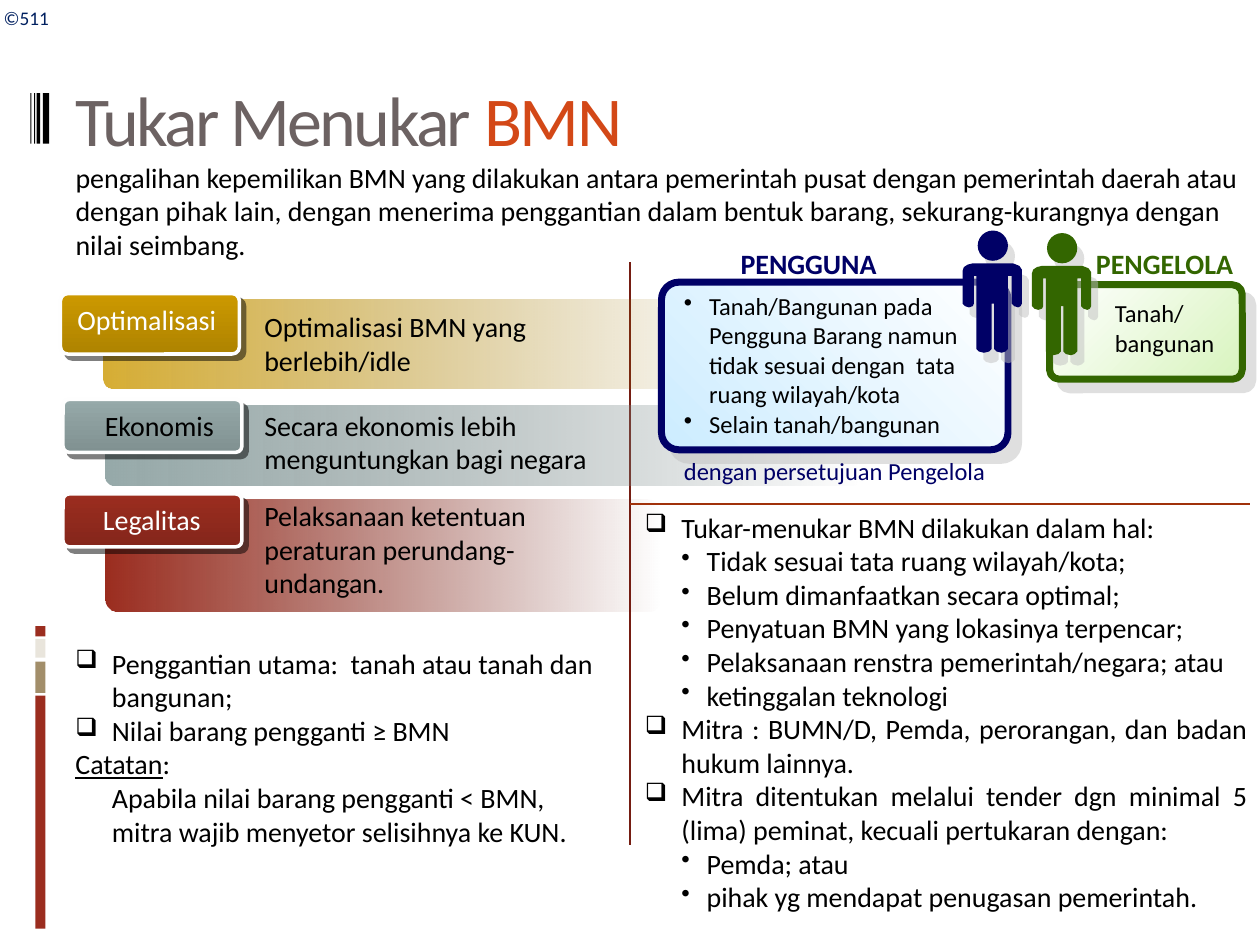
from collections import namedtuple

from lxml.etree import SubElement
from pptx import Presentation
from pptx.dml.color import RGBColor
from pptx.enum.shapes import MSO_CONNECTOR as LINE, MSO_SHAPE as SHAPE
from pptx.enum.text import MSO_ANCHOR as ANCHOR, MSO_AUTO_SIZE as FIT, PP_ALIGN as ALIGN
from pptx.oxml.ns import qn
from pptx.util import Inches, Pt

CELL = Inches(0.1)
BLACK, WHITE, NAVY, GREEN, RUST = "000000", "FEFFFF", "000066", "336600", "9B2D1F"
SQUARE, DOT = ("❑", 0.29, -0.29), ("•", 0.49, -0.2)
BODY_OUTLINE = [
    (8, 0), (4, 1), (1, 3), (0, 6), (0, 32), (2, 34), (5, 35), (8, 34), (9, 32), (9, 10), (11, 10),
    (11, 68), (13, 70), (17, 71), (21, 70), (23, 68), (23, 32), (25, 32), (25, 68), (27, 70),
    (31, 71), (34, 70), (36, 68), (36, 10), (39, 10), (39, 32), (41, 34), (44, 35), (46, 34),
    (47, 32), (47, 5), (45, 2), (40, 0)]


class Box(namedtuple("Box", "left top width height")):
    """A rectangle in cells of a grid of 100 columns and 75 rows."""

    def inner(self, dx, dy, width, height):
        """Return a box offset from this one's top left corner."""
        return Box(self.left + dx, self.top + dy, width, height)

    def emu(self):
        """Return the four lengths for python-pptx."""
        return [round(length * CELL) for length in self]


def hue(value):
    """Turn a hex string into a colour."""
    return RGBColor.from_string(value)


def add_shadow(shape, color, distance, angle):
    """Give the shape a hard half-transparent shadow."""
    effects = shape.element.spPr.find(qn("a:effectLst"))
    shadow = SubElement(effects, qn("a:outerShdw"), blurRad="0", dist=str(Pt(distance)),
                        dir=str(angle * 60000), algn="ctr", rotWithShape="0")
    tint = SubElement(shadow, qn("a:srgbClr"), val=color)
    SubElement(tint, qn("a:alpha"), val="50000")


def paint(shape, colors, angle=0, alphas=(100, 100), line=None, shadow=None):
    """Fill with one colour or a gradient, then set outline and shadow."""
    shape.shadow.inherit = False
    if len(colors) == 1:
        shape.fill.solid()
        shape.fill.fore_color.rgb = hue(colors[0])
    else:
        shape.fill.gradient()
        shape.fill.gradient_angle = angle
        for stop, color in zip(shape.fill.gradient_stops, colors):
            stop.color.rgb = hue(color)
        for tint, alpha in zip(shape.element.spPr.iter(qn("a:srgbClr")), alphas):
            SubElement(tint, qn("a:alpha"), val=str(alpha * 1000))
    if line:
        shape.line.color.rgb, shape.line.width = hue(line[0]), Pt(line[1])
    else:
        shape.line.fill.background()
    if shadow:
        add_shadow(shape, *shadow)


def add_block(shapes, kind, box, colors, adjust=None, **look):
    """Add a painted preset shape."""
    block = shapes.add_shape(kind, *box.emu())
    if adjust:
        block.adjustments[0] = adjust
    paint(block, colors, **look)


def add_rule(shapes, start, end, color):
    """Draw a thin straight line between two grid points."""
    rule = shapes.add_connector(LINE.STRAIGHT, *Box(*start, *end).emu())
    rule.line.color.rgb, rule.line.width = hue(color), Pt(0.75)
    SubElement(rule.element.spPr, qn("a:effectLst"))


def add_run(paragraph, text, color=BLACK, **fmt):
    """Add a formatted run."""
    run = paragraph.add_run()
    run.text = text
    for key, value in {"name": "Calibri", "size": Pt(16), **fmt}.items():
        setattr(run.font, key, value)
    run.font.color.rgb = hue(color)
    return run


def set_bullet(paragraph, mark, margin, indent, size=90):
    """Set indents and, if there is one, the bullet mark."""
    props = paragraph._p.get_or_add_pPr()
    props.set("marL", str(Inches(margin)))
    props.set("indent", str(Inches(indent)))
    if mark:
        SubElement(props, qn("a:buSzPct"), val=str(size * 1000))
        SubElement(props, qn("a:buChar"), char=mark)
    else:
        SubElement(props, qn("a:buNone"))


def add_text(shapes, box, items, align=ALIGN.LEFT, wrap=True, **fmt):
    """Add a text box of (text, bullet) paragraphs."""
    frame = shapes.add_textbox(*box.emu()).text_frame
    frame.word_wrap, frame.auto_size = wrap, FIT.SHAPE_TO_FIT_TEXT
    for index, (text, bullet) in enumerate(items):
        paragraph = frame.paragraphs[0] if index == 0 else frame.add_paragraph()
        paragraph.alignment = align
        if bullet:
            set_bullet(paragraph, *bullet)
        if text:
            add_run(paragraph, text, **fmt)
    return frame


def add_margin(shapes, box):
    """Draw the strips and bars down the left margin."""
    for top, height, color in [(49.7, 0.8, RUST), (50.7, 1.5, "E9E5DC"),
                               (52.5, 2.5, "A28E6A"), (55.2, 18.5, RUST)]:
        add_block(shapes, SHAPE.RECTANGLE, box.inner(2.8, top, 0.8, height), [color])
    for left, width in [(2.4, 0.1), (2.7, 0.1), (2.9, 0.3), (3.4, 0.5)]:
        add_block(shapes, SHAPE.RECTANGLE, box.inner(left, 7.4, width, 4), [BLACK])
    add_text(shapes, box.inner(-0.7, 0, 6.1, 2.9), [("©511", None)], color="002060", size=Pt(11))


def add_heading(slide, title_box, definition_box):
    """Fill the title and body placeholders."""
    title, definition = slide.placeholders
    for holder, box in [(title, title_box), (definition, definition_box)]:
        holder.left, holder.top, holder.width, holder.height = box.emu()
        holder.text_frame.auto_size = FIT.NONE
    title.text_frame.vertical_anchor = ANCHOR.MIDDLE
    heading = title.text_frame.paragraphs[0]
    heading.alignment = ALIGN.LEFT
    for text, color in [("Tukar Menukar ", "6C6262"), ("BMN", "D34817")]:
        run = add_run(heading, text, color, size=Pt(40))
        run.font._element.set("spc", "-150")
    definition.fill.solid()
    definition.fill.fore_color.rgb = hue("FFFFFF")
    paragraph = definition.text_frame.paragraphs[0]
    paragraph.space_before = Pt(0)
    set_bullet(paragraph, None, 0, 0)
    add_run(paragraph, "pengalihan kepemilikan BMN yang dilakukan antara pemerintah pusat dengan "
            "pemerintah daerah atau dengan pihak lain, dengan menerima penggantian dalam bentuk "
            "barang, sekurang-kurangnya dengan nilai seimbang.")


def add_criterion(shapes, box, label, color, text, chip_height, label_dx, text_dy, text_width,
                  ends, alpha=100, ink=WHITE):
    """Draw a fading bar with its chip, label and explanation."""
    add_block(shapes, SHAPE.ROUNDED_RECTANGLE,
              box.inner(3.4, 0.45, box.width - 3.4, box.height - 0.45),
              [color, ends[0]], adjust=0.115, alphas=(alpha, 0))
    add_block(shapes, SHAPE.ROUNDED_RECTANGLE, box.inner(0, 0, 14.2, chip_height),
              [color, ends[1]], adjust=0.119, angle=270, line=("FEFEFE", 2),
              shadow=(BLACK, 4.2, 45))
    add_text(shapes, Box(20, box.top + text_dy, text_width, 6.4), [(text, None)])
    add_text(shapes, box.inner(label_dx, 0.2, 13.3, 3.7), [(label, None)], ALIGN.CENTER, color=ink)


def add_person(shapes, box, color):
    """Draw a standing figure."""
    look = {"colors": [color], "shadow": ("C0C0C0", 7.2, 56)}
    add_block(shapes, SHAPE.OVAL, box.inner(1.2, 0, 2.4, 2.4), **look)
    points = [(round((box.left + x / 10) * CELL), round((box.top + 2.6 + y / 10) * CELL))
              for x, y in BODY_OUTLINE]
    builder = shapes.build_freeform(*points[0])
    builder.add_line_segments(points[1:], close=True)
    paint(builder.convert_to_shape(), **look)


def add_party(shapes, box, role, role_box, color, tints, angle, person_box, text_box, items):
    """Draw a role's card with its figure, name and assets."""
    group = shapes.add_group_shape().shapes
    add_block(group, SHAPE.ROUNDED_RECTANGLE, box, tints, adjust=0.103, angle=angle,
              line=(color, 4), shadow=("C0C0C0", 8.5, 45))
    add_person(group, person_box, color)
    add_text(shapes, text_box, items, size=Pt(14))
    add_text(shapes, role_box, [(role, None)], wrap=False, color=color, bold=True)


def add_terms(shapes, left_box, right_box):
    """Write the replacement notes and the list of cases and partners."""
    notes = add_text(shapes, left_box, [
        ("Penggantian utama:  tanah atau tanah dan bangunan;", SQUARE),
        ("Nilai barang pengganti ≥ BMN", SQUARE),
        ("", None),
        ("Apabila nilai barang pengganti < BMN, mitra wajib menyetor selisihnya ke KUN.",
         (None, 0.29, 0))])
    add_run(notes.paragraphs[2], "Catatan", underline=True)
    add_run(notes.paragraphs[2], ":")
    add_text(shapes, right_box, [
        ("Tukar-menukar BMN dilakukan dalam hal:", SQUARE),
        ("Tidak sesuai tata ruang wilayah/kota;", DOT),
        ("Belum dimanfaatkan secara optimal;", DOT),
        ("Penyatuan BMN yang lokasinya terpencar;", DOT),
        ("Pelaksanaan renstra pemerintah/negara; atau", DOT),
        ("ketinggalan teknologi", DOT),
        ("Mitra : BUMN/D, Pemda, perorangan, dan badan hukum lainnya.", SQUARE),
        ("Mitra ditentukan melalui tender dgn minimal 5 (lima) peminat, kecuali pertukaran dengan:",
         SQUARE),
        ("Pemda; atau", DOT),
        ("pihak yg mendapat penugasan pemerintah.", DOT)], ALIGN.JUSTIFY)


def main():
    """Build the slide and save it."""
    deck = Presentation()
    deck.slide_width, deck.slide_height = 100 * CELL, 75 * CELL
    slide = deck.slides.add_slide(deck.slide_layouts[1])
    shapes = slide.shapes
    add_margin(shapes, Box(0, 0, 6, 75))
    add_rule(shapes, (50, 20.8), (50, 67.1), "751D12")
    add_heading(slide, Box(5, 2.3, 90, 14.2), Box(5, 12.2, 95, 8.6))
    add_criterion(shapes, Box(4.8, 23.3, 55.2, 7.5), "Optimalisasi", "CC9900",
                  "Optimalisasi BMN yang berlebih/idle", 4.8, 0.2, 0.8, 31.7,
                  ("926D00", "AE8300"), alpha=80)
    add_criterion(shapes, Box(5, 31.7, 63.3, 6.8), "Ekonomis", "96A9A9",
                  "Secara ekonomis lebih menguntungkan bagi negara", 4.2, 1, 0.2, 29.2,
                  ("6B7979", "809191"), ink=BLACK)
    add_criterion(shapes, Box(5, 39.2, 47.4, 9.3), "Legalitas", RUST,
                  "Pelaksanaan ketentuan peraturan perundang-undangan.", 4.2, 0.4, -0.1, 29.2,
                  ("6F2016", "85261B"))
    add_party(shapes, Box(83.3, 22.6, 15.3, 7.5), "PENGELOLA", Box(86, 19.1, 13, 3.7), GREEN,
              ["FFFFFF", "D8F4BE"], 315, Box(81.9, 18.5, 4.7, 9.5), Box(87.5, 23.2, 10, 5.7),
              [("Tanah/ bangunan", None)])
    asset = ("•", 0.2, -0.2, 100)
    add_party(shapes, Box(52.5, 22.4, 27.5, 13.3), "PENGGUNA", Box(57.8, 19.1, 13, 3.7), NAVY,
              ["CCECFF", "FFFFFF"], 45, Box(76.4, 18.3, 4.7, 9.7), Box(53.3, 22.6, 26.7, 12.8),
              [("Tanah/Bangunan pada Pengguna Barang namun tidak sesuai dengan  tata ruang "
                "wilayah/kota", asset), ("Selain tanah/bangunan", asset)])
    add_text(shapes, Box(53.3, 35.7, 26.7, 3.3), [("dengan persetujuan Pengelola", None)],
             color=NAVY, size=Pt(14))
    add_terms(shapes, Box(5, 50.8, 44.2, 17.2), Box(50.2, 40, 49.8, 34.2))
    add_rule(shapes, (50, 40), (99.2, 40), "A0310A")
    deck.save("out.pptx")


if __name__ == "__main__":
    main()
